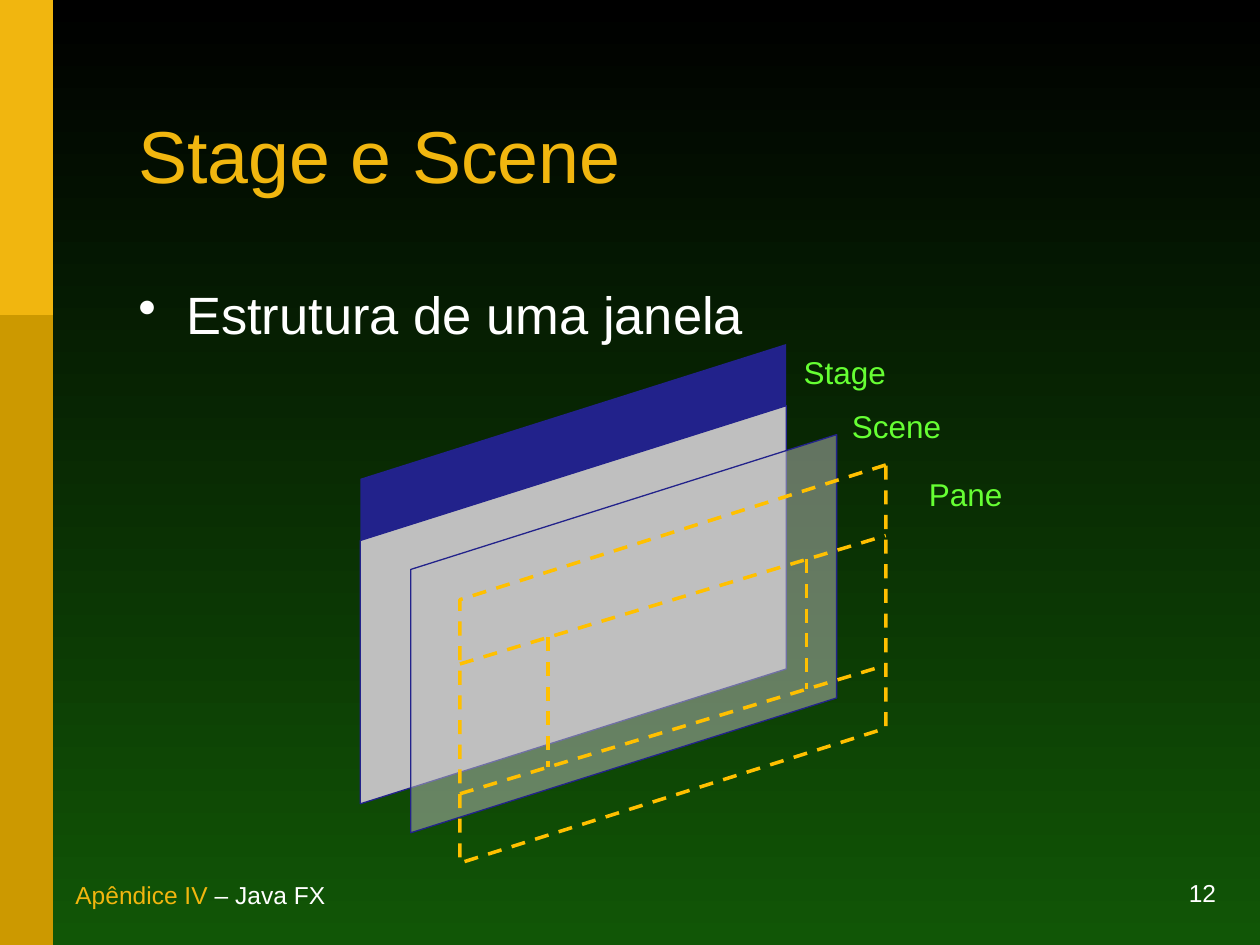
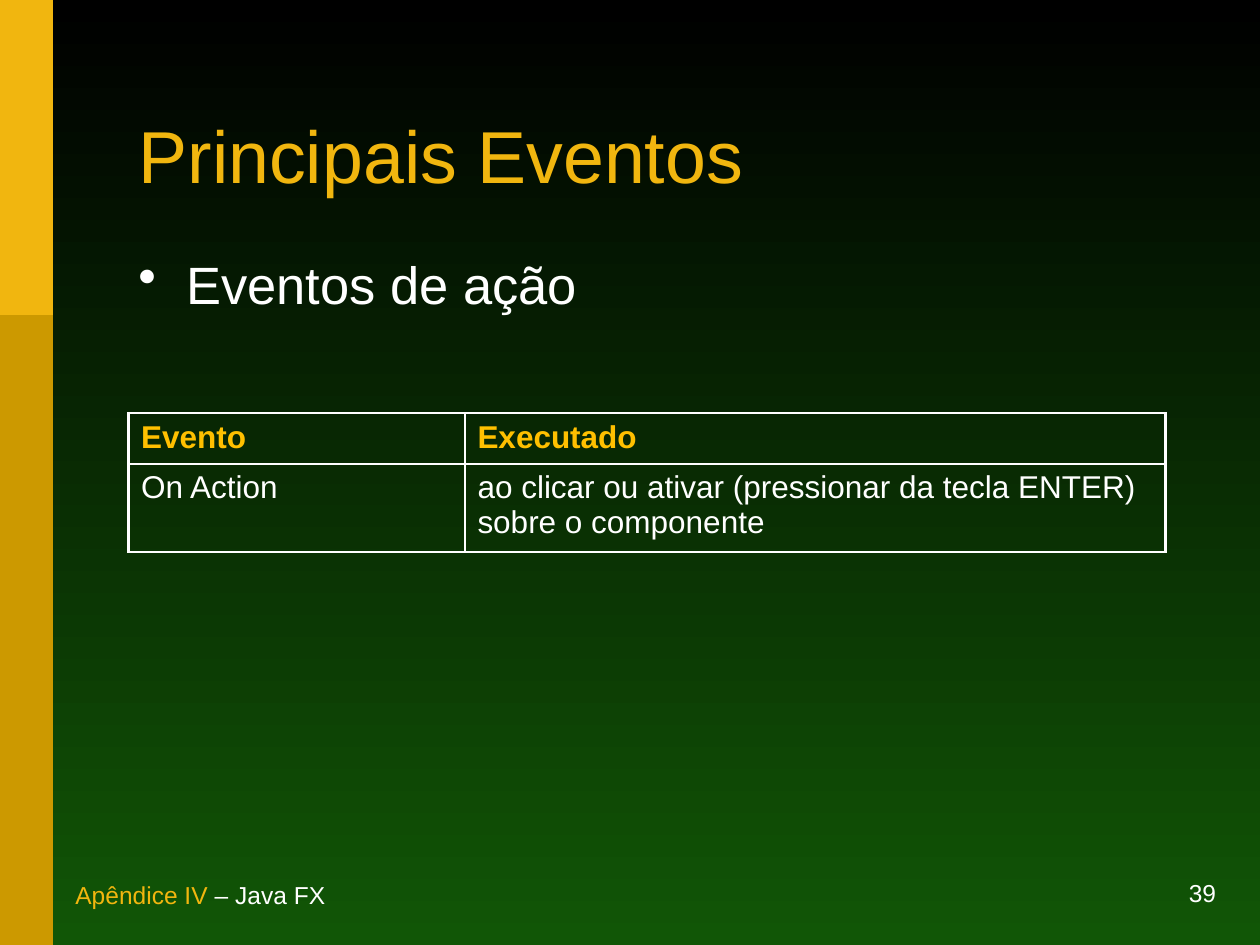
from lxml import etree
from pptx import Presentation
from pptx.dml.color import RGBColor
from pptx.enum import dml, shapes, text
from pptx.oxml.ns import qn
from pptx.util import Inches, Pt

FONT = "Arial"
GOLD, AMBER, OCHRE = "F1B60F", "FFC000", "CC9900"
WHITE, LIME, NAVY, GRAY = "FFFFFF", "66FF33", "22228B", "BFBFBF"
TOP, BASE = "000000", "115606"
LEFT, WIDE = 1, 8.23


def color(code):
    return RGBColor.from_string(code)


def inches(*sizes):
    return [Inches(size) for size in sizes]


def node(parent, tag, **attrs):
    return etree.SubElement(parent, qn(tag), attrs)


def style(font, size, code, bold=False):
    font.name, font.size, font.bold = FONT, Pt(size), bold
    font.color.rgb = color(code)


def stroke(line, code, width, dash=False):
    line.color.rgb = color(code)
    line.width = Pt(width)
    if dash:
        line.dash_style = dml.MSO_LINE.DASH


def write(slide, box, runs, size, align="LEFT", anchor="MIDDLE"):
    """Add a text box holding one paragraph of (text, colour) runs."""
    frame = slide.shapes.add_textbox(*inches(*box)).text_frame
    frame.word_wrap = True
    frame.vertical_anchor = getattr(text.MSO_ANCHOR, anchor)
    para = frame.paragraphs[0]
    para.alignment = getattr(text.PP_ALIGN, align)
    for words, code in runs:
        run = para.add_run()
        run.text = words
        style(run.font, size, code)
    return para


def backdrop(master):
    fill = master.background.fill
    fill.gradient()
    fill.gradient_angle = 270
    for stop, code in zip(fill.gradient_stops, (TOP, BASE)):
        stop.color.rgb = color(code)


def band(slide, height, code):
    bar = slide.shapes.add_shape(shapes.MSO_SHAPE.RECTANGLE,
                                 *inches(0, 0, 0.42, height))
    bar.shadow.inherit = False
    bar.fill.solid()
    bar.fill.fore_color.rgb = color(code)
    bar.line.fill.background()


def bullet(slide, top, words):
    para = write(slide, (LEFT, top, WIDE, 0.64), [(words, WHITE)], 30,
                 anchor="TOP")
    props = para._p.get_or_add_pPr()
    props.set("marL", str(Inches(0.38)))
    props.set("indent", str(-Inches(0.38)))
    node(node(props, "a:buClr"), "a:srgbClr", val=WHITE)
    node(props, "a:buChar", char="•")


def base(deck, title, number, topic, top):
    """Start a slide with its bands, footer, title and bullet."""
    slide = deck.slides.add_slide(deck.slide_layouts[5])
    band(slide, 7.5, OCHRE)
    band(slide, 2.5, GOLD)
    write(slide, (7.25, 7, 2.5, 0.25), [(str(number), WHITE)], 14,
          "RIGHT", "BOTTOM")
    write(slide, (0.5, 7, 6.69, 0.27),
          [("Apêndice IV", GOLD), (" – Java FX", WHITE)], 14,
          anchor="BOTTOM")
    head = slide.shapes.title
    head.left, head.top, head.width, head.height = inches(LEFT, 0.63, WIDE, 1.29)
    frame = head.text_frame
    frame.text = title
    frame.vertical_anchor = text.MSO_ANCHOR.MIDDLE
    para = frame.paragraphs[0]
    para.alignment = text.PP_ALIGN.LEFT
    para.line_spacing = 0.85
    style(para.runs[0].font, 42, GOLD)
    bullet(slide, top, topic)
    return slide


def sheet(slide, box, drop, fill=None, alpha=None):
    """Add a slanted sheet that fills the box; its right side is higher by drop."""
    left, top, width, height = box
    shift = (width - height) / 2
    form = slide.shapes.add_shape(
        shapes.MSO_SHAPE.PARALLELOGRAM,
        *inches(left + shift, top - shift, height, width))
    form.rotation = 90
    form._element.spPr.find(qn("a:xfrm")).set("flipV", "1")
    form.adjustments[0] = drop / height
    form.shadow.inherit = False
    if fill:
        form.fill.solid()
        form.fill.fore_color.rgb = color(fill)
    else:
        form.fill.background()
    if alpha:
        tint = form._element.spPr.find(qn("a:solidFill"))[0]
        node(tint, "a:alpha", val=str(alpha * 1000))
    return form


def rule(slide, start, end):
    line = slide.shapes.add_connector(shapes.MSO_CONNECTOR.STRAIGHT,
                                      *inches(*start, *end))
    node(line._element.spPr, "a:effectLst")
    stroke(line.line, AMBER, 2, True)


def pane(slide, box, drop):
    """Add a dashed sheet split into top, bottom, left, right and centre."""
    left, top, width, height = box
    stroke(sheet(slide, box, drop).line, AMBER, 2, True)
    slant, gap = 1.02, 1.03
    first = top + 1.58

    def edge(across):
        return left + across, first - slant * across / width

    for down in (0, gap):
        rule(slide, (left, first + down), (left + width, first + down - slant))
    for across in (0.7, 2.75):
        x, y = edge(across)
        rule(slide, (x, y), (x, y + gap))


def window(slide, left, top):
    """Draw the stage, scene and pane as stacked sheets, with labels."""
    width, height, drop = 3.38, 3.16, 1.07
    for words, x, y in (("Stage", 3.21, 0), ("Scene", 3.62, 0.43),
                        ("Pane", 4.17, 0.97)):
        write(slide, (left + x, top - 0.03 + y, 1.27, 0.5), [(words, LIME)], 18,
              "CENTER")
    body = top + 0.49
    stage = sheet(slide, (left, body, width, height), drop, GRAY)
    stroke(stage.line, NAVY, 0.75)
    bar = sheet(slide, (left, top, width, 1.56), drop, NAVY)
    bar.line.fill.background()
    scene = sheet(slide, (left + 0.4, body + 0.23, width, height), drop, GRAY, 50)
    stroke(scene.line, NAVY, 0.75)
    pane(slide, (left + 0.79, body + 0.47, width, height), drop)


def border(cell):
    props = cell._tc.get_or_add_tcPr()
    for side in "LRTB":
        line = node(props, "a:ln" + side, w=str(Pt(1.47)))
        node(node(line, "a:solidFill"), "a:srgbClr", val=WHITE)


def grid(slide, left, top, cols, rows, cells):
    frame = slide.shapes.add_table(len(rows), len(cols),
                                   *inches(left, top, sum(cols), sum(rows)))
    table = frame.table
    table.first_row = table.horz_banding = False
    for col, width in zip(table.columns, cols):
        col.width = Inches(width)
    for r, (height, line) in enumerate(zip(rows, cells)):
        table.rows[r].height = Inches(height)
        for c, words in enumerate(line):
            cell = table.cell(r, c)
            border(cell)
            cell.fill.background()
            cell.text = words
            style(cell.text_frame.paragraphs[0].runs[0].font, 18,
                  WHITE if r else AMBER, r == 0)


def main():
    deck = Presentation()
    deck.slide_width, deck.slide_height = inches(10, 7.5)
    backdrop(deck.slide_master)
    slide = base(deck, "Stage e Scene", 12, "Estrutura de uma janela", 2.19)
    window(slide, 2.86, 2.73)
    slide = base(deck, "Principais Eventos", 39, "Eventos de ação", 1.95)
    grid(slide, 1.02, 3.28, (2.67, 5.56), (0.4, 0.7), (
        ("Evento", "Executado"),
        ("On Action",
         "ao clicar ou ativar (pressionar da tecla ENTER) sobre o componente")))
    deck.save("out.pptx")


if __name__ == "__main__":
    main()
